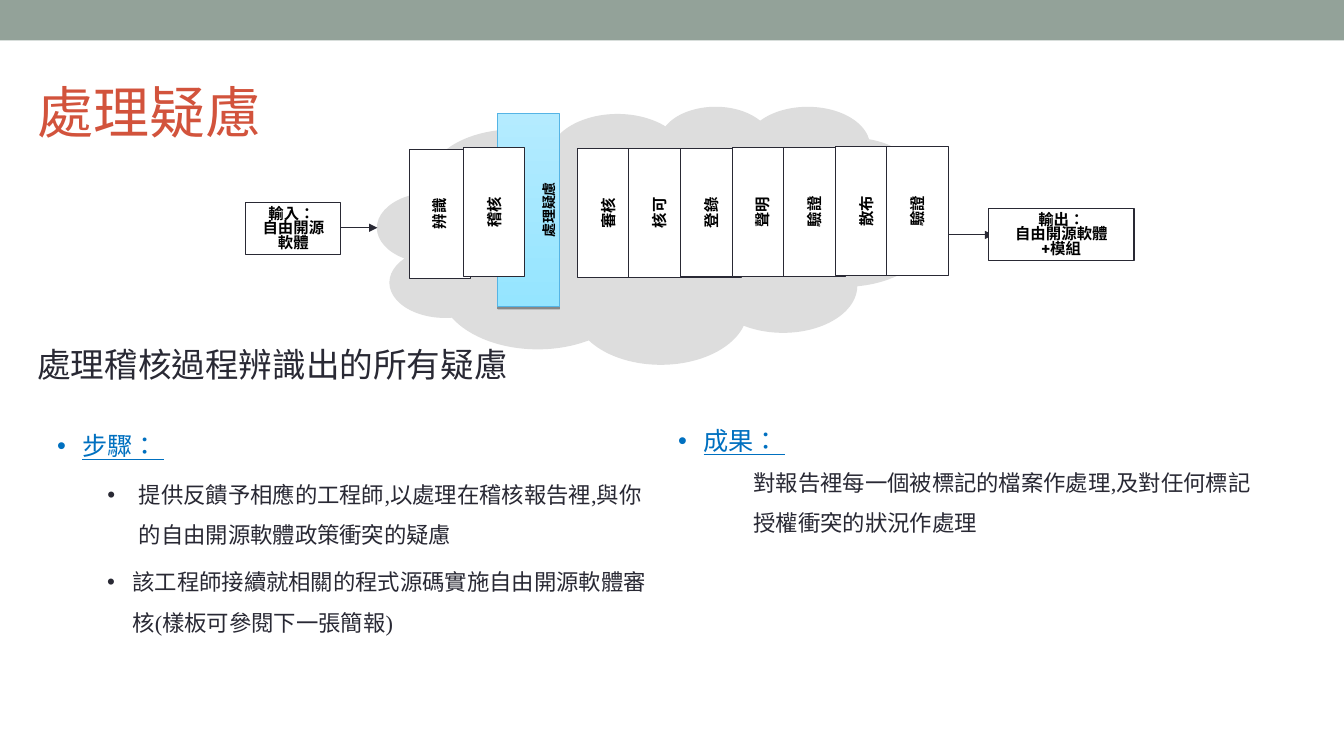
from collections import namedtuple

from lxml.etree import SubElement
from pptx import Presentation
from pptx.dml.color import RGBColor
from pptx.enum.lang import MSO_LANGUAGE_ID
from pptx.enum.shapes import MSO_CONNECTOR, MSO_SHAPE
from pptx.enum.text import MSO_ANCHOR, PP_ALIGN
from pptx.oxml.ns import qn
from pptx.util import Cm, Pt

BAR_GREEN = RGBColor(0x93, 0xA2, 0x99)
TITLE_RED = RGBColor(0xD2, 0x53, 0x3C)
HEADING_BLUE = RGBColor(0x00, 0x70, 0xC0)
INK = RGBColor(0x29, 0x29, 0x34)
BLACK = RGBColor(0, 0, 0)
WHITE = RGBColor(0xFF, 0xFF, 0xFF)
CLOUD_GREY = RGBColor(0xDD, 0xDD, 0xDD)
HIGHLIGHT_TOP = RGBColor(0xB4, 0xEB, 0xFF)
HIGHLIGHT_BOTTOM = RGBColor(0x95, 0xE5, 0xFF)
HIGHLIGHT_EDGE = RGBColor(0x55, 0xB4, 0xE5)
BODY_FONT = "Times New Roman"
DIAGRAM_FONT = "Roboto"

Box = namedtuple("Box", "left top width height")


def lengths(box):
    """Turn a box in centimetres into slide lengths."""
    return [Cm(value) for value in box]


def add_block(slide, kind, box, fill=None, line=None):
    """Add a preset shape with a plain fill and an optional outline."""
    shape = slide.shapes.add_shape(kind, *lengths(box))
    shape.shadow.inherit = False
    if fill is not None:
        shape.fill.solid()
        shape.fill.fore_color.rgb = fill
    if line is None:
        shape.line.fill.background()
    else:
        shape.line.color.rgb = line
        shape.line.width = Pt(0.75)
    return shape


def style_font(paragraph, name, size, color, bold=False, underline=False):
    """Set the font of a whole paragraph."""
    font = paragraph.font
    font.name, font.size, font.color.rgb = name, Pt(size), color
    font.bold, font.underline = bold, underline
    font.language_id = MSO_LANGUAGE_ID.TRADITIONAL_CHINESE


def write_label(shape, lines, size=11, spacing=None, anchor=MSO_ANCHOR.MIDDLE):
    """Write centred bold diagram text, one paragraph per line."""
    frame = shape.text_frame
    frame.word_wrap = True
    frame.vertical_anchor = anchor
    frame.text = "\n".join(lines)
    for paragraph in frame.paragraphs:
        paragraph.alignment = PP_ALIGN.CENTER
        paragraph.line_spacing = spacing
        style_font(paragraph, DIAGRAM_FONT, size, BLACK, bold=True)


def upright(box):
    """Give the unrotated box that covers this one after a quarter turn."""
    shift = (box.width - box.height) / 2
    return Box(box.left + shift, box.top - shift, box.height, box.width)


def add_heading(slide, box, text, size, color, anchor):
    """Add a one-line heading."""
    frame = slide.shapes.add_textbox(*lengths(box)).text_frame
    frame.word_wrap = True
    frame.vertical_anchor = anchor
    frame.text = text
    style_font(frame.paragraphs[0], BODY_FONT, size, color)


def indent_paragraph(paragraph, margin, hanging, bullet_color=None):
    """Set the indents of a paragraph and give it a bullet."""
    properties = paragraph._p.get_or_add_pPr()
    properties.set("marL", str(Cm(margin)))
    properties.set("indent", str(-Cm(hanging)))
    if bullet_color is not None:
        color = SubElement(properties, qn("a:buClr"))
        SubElement(color, qn("a:srgbClr"), val=str(bullet_color))
        SubElement(properties, qn("a:buFont"), typeface="Arial")
        SubElement(properties, qn("a:buChar"), char="•")


def add_column(slide, box, heading, items, space_before=0):
    """Add an underlined heading with (text, margin, hanging) items below."""
    frame = slide.shapes.add_textbox(*lengths(box)).text_frame
    frame.word_wrap = True
    frame.text = "\n".join([heading] + [text for text, _, _ in items])
    first, *rest = frame.paragraphs
    indent_paragraph(first, 0.64, 0.64, HEADING_BLUE)
    first.line_spacing = 1.5
    style_font(first, BODY_FONT, 18, HEADING_BLUE, underline=True)
    for paragraph, (_, margin, hanging) in zip(rest, items):
        indent_paragraph(paragraph, margin, hanging, INK if hanging else None)
        paragraph.line_spacing = 1.5
        paragraph.space_before = Pt(space_before)
        style_font(paragraph, BODY_FONT, 16, INK)


def add_arrow(slide, left, top, length):
    """Add a horizontal arrow pointing right."""
    connector = slide.shapes.add_connector(
        MSO_CONNECTOR.STRAIGHT, Cm(left), Cm(top), Cm(left + length), Cm(top))
    connector.line.color.rgb = INK
    connector.line.width = Pt(0.75)
    properties = connector._element.spPr
    SubElement(properties.find(qn("a:ln")), qn("a:tailEnd"), type="triangle")
    SubElement(properties, qn("a:effectLst"))


def add_highlight(slide, box, text):
    """Add the glowing column of the current step with its upright label."""
    column = add_block(slide, MSO_SHAPE.RECTANGLE, box, line=HIGHLIGHT_EDGE)
    column.fill.gradient()
    column.fill.gradient_angle = 270
    for stop, color in zip(column.fill.gradient_stops, (HIGHLIGHT_TOP, HIGHLIGHT_BOTTOM)):
        stop.color.rgb = color
    effects = column._element.spPr.find(qn("a:effectLst"))
    shadow = SubElement(effects, qn("a:outerShdw"), dist=str(Pt(1.6)), dir="5400000")
    color = SubElement(shadow, qn("a:srgbClr"), val="000000")
    SubElement(color, qn("a:alpha"), val="38000")
    label_box = upright(box._replace(left=box.left + 0.52))
    label = slide.shapes.add_textbox(*lengths(label_box))
    label.rotation = 270
    write_label(label, [text], size=10)


def add_step(slide, box, text):
    """Add a process step whose text reads upwards."""
    step = add_block(slide, MSO_SHAPE.RECTANGLE, upright(box), WHITE, INK)
    step.rotation = 270
    write_label(step, [text])


def add_end_box(slide, box, lines):
    """Add the input or output box."""
    shape = add_block(slide, MSO_SHAPE.RECTANGLE, box, WHITE, INK)
    write_label(shape, lines, spacing=Pt(10.5), anchor=MSO_ANCHOR.TOP)


def add_process(slide, box):
    """Add the cloud with the process steps, its input and its output."""
    left, top = box.left, box.top
    cloud = Box(left + 3.31, top, 13.97, 6.5)
    add_block(slide, MSO_SHAPE.CLOUD, cloud, CLOUD_GREY)
    add_arrow(slide, left + 17.28, top + 3.25, 1.55)
    add_highlight(slide, Box(left + 6.35, top + 0.18, 1.55, 4.88), "處理疑慮")
    for index, text in enumerate(["辨識", "稽核"]):
        step = Box(left + 4.11 + 1.37 * index, top + 1.09 - 0.04 * index, 1.55, 3.25)
        add_step(slide, step, text)
    later_steps = ["審核", "核可", "登錄", "聲明", "驗證", "散布", "驗證"]
    for index, text in enumerate(later_steps):
        step = Box(left + 8.35 + 1.3 * index, top + 1.08 - 0.01 * index, 1.55, 3.25)
        add_step(slide, step, text)
    add_end_box(slide, Box(left, top + 2.44, 2.39, 1.3), ["輸入： ", "自由開源軟體"])
    add_arrow(slide, left + 2.39, top + 3.07, 0.92)
    output = Box(left + box.width - 3.66, top + 2.59, 3.66, 1.3)
    add_end_box(slide, output, ["輸出：", "自由開源軟體", "+模組"])


def build_slide(presentation):
    """Build the slide on handling issues."""
    slide = presentation.slides.add_slide(presentation.slide_layouts[6])
    add_block(slide, MSO_SHAPE.RECTANGLE, Box(0, 0, 33.87, 1.02), BAR_GREEN)
    add_column(slide, Box(16.84, 10.21, 15.29, 6.4), "成果： ", [
        ("對報告裡每一個被標記的檔案作處理,及對任何標記授權衝突的狀況作處理".replace(",", ","), 1.9, 0),
    ])
    add_column(slide, Box(1.19, 10.34, 15.39, 7.26), "步驟： ", [
        ("提供反饋予相應的工程師,以處理在稽核報告裡,與你的自由開源軟體政策衝突的疑慮".replace(",", ","), 2.06, 0.79),
        ("該工程師接續就相關的程式源碼實施自由開源軟體審核(樣板可參閱下一張簡報)", 1.9, 0.64),
    ], space_before=5)
    add_heading(slide, Box(0.69, 8.53, 20.12, 1.27), "處理稽核過程辨識出的所有疑慮",
                24, INK, MSO_ANCHOR.TOP)
    add_heading(slide, Box(0.69, 1.42, 30.48, 2.74), "處理疑慮",
                40, TITLE_RED, MSO_ANCHOR.MIDDLE)
    add_process(slide, Box(6.2, 2.67, 22.38, 6.5))


presentation = Presentation()
presentation.slide_width, presentation.slide_height = Cm(33.87), Cm(19.05)
build_slide(presentation)
presentation.save("out.pptx")
